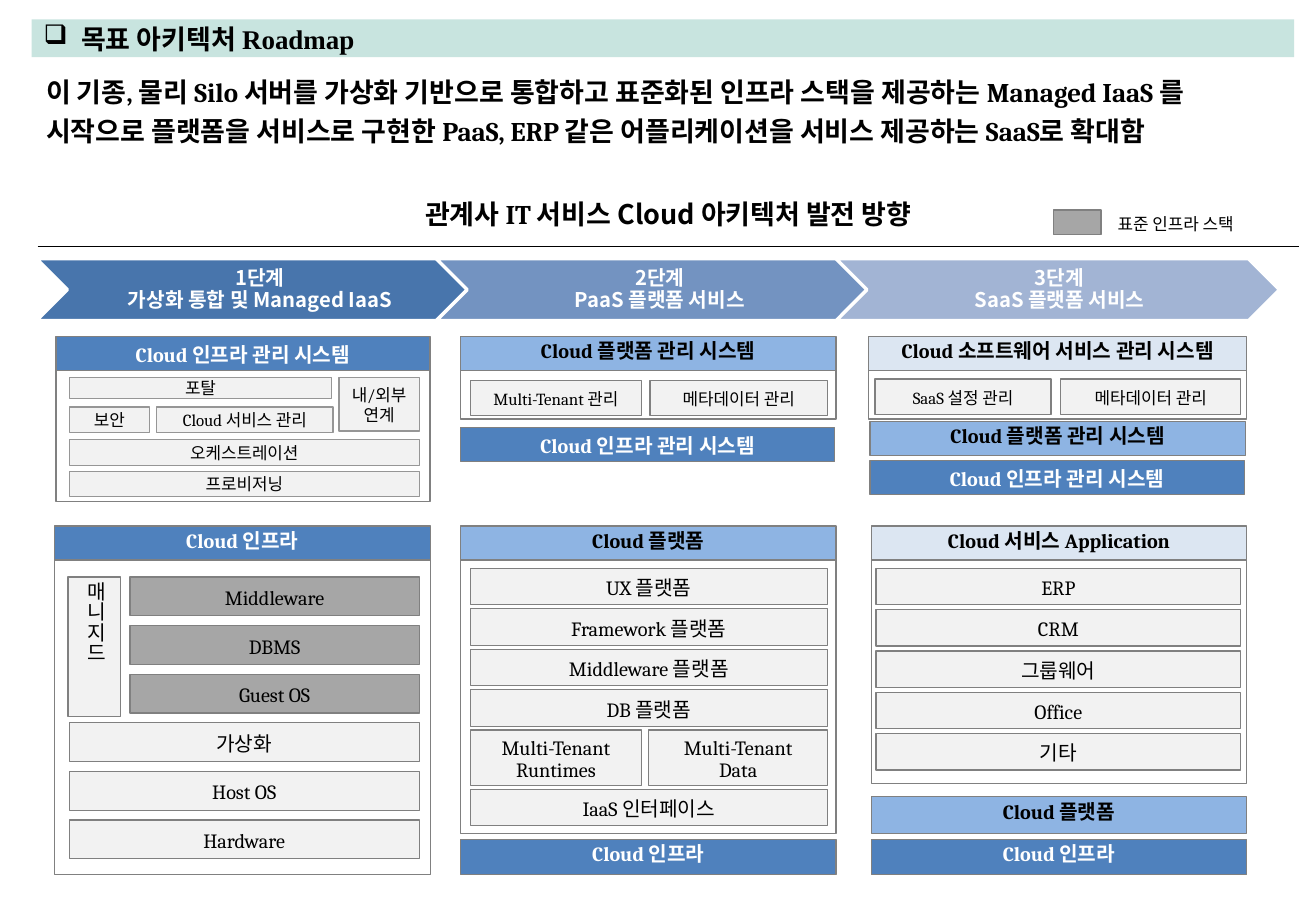
"""Builds the target cloud architecture roadmap slide."""
from lxml import etree
from pptx import Presentation
from pptx.dml.color import RGBColor
from pptx.enum.shapes import MSO_CONNECTOR, MSO_SHAPE
from pptx.enum.text import MSO_ANCHOR, MSO_AUTO_SIZE, PP_ALIGN
from pptx.oxml.ns import qn
from pptx.util import Inches, Pt

RECT, CHEVRON = MSO_SHAPE.RECTANGLE, MSO_SHAPE.CHEVRON
STRAIGHT = MSO_CONNECTOR.STRAIGHT
TOP, MIDDLE = MSO_ANCHOR.TOP, MSO_ANCHOR.MIDDLE
LEFT, CENTER = PP_ALIGN.LEFT, PP_ALIGN.CENTER
GROW = MSO_AUTO_SIZE.SHAPE_TO_FIT_TEXT
SERIF, SANS, TITLE_FONT = "Cambria", "Noto Sans CJK KR", "Times New Roman"
COLORS = {
    "white": "FFFFFF", "black": "000000", "border": "808080", "thin": "969696",
    "infra": "4F81BD", "platform": "8EB4E3", "software": "DCE6F2",
    "item": "F2F2F2", "standard": "A6A6A6", "banner": "C8E4DF",
    "stage1": "4875AC", "stage2": "7393C1", "stage3": "A2B4D4",
}
DEFAULT_INSETS = (0.1, 0.05, 0.1, 0.05)
TIGHT_INSETS = (0.09, 0.05, 0.09, 0.05)


def write(shape, text, size=12, font=SERIF, color="black", bold=False, align=CENTER,
          anchor=MIDDLE, insets=(0, 0.04, 0, 0), spacing=0.9, wrap=True):
    """Fills a shape with one paragraph; text is a string or (text, font) pairs."""
    frame = shape.text_frame
    frame.word_wrap, frame.vertical_anchor = wrap, anchor
    frame.margin_left, frame.margin_top, frame.margin_right, frame.margin_bottom = map(Inches, insets)
    paragraph = frame.paragraphs[0]
    paragraph.alignment, paragraph.line_spacing = align, spacing
    for part, typeface in [(text, font)] if isinstance(text, str) else text:
        for index, line in enumerate(part.split("\n")):
            if index:
                paragraph.add_line_break()
            run = paragraph.add_run()
            run.text = line
            run.font.size, run.font.bold, run.font.name = Pt(size), bold, typeface
            run.font.color.rgb = RGBColor.from_string(COLORS[color])
            etree.SubElement(run.font._element, qn("a:ea"), typeface=SANS)
    return frame


def block(at, fill, text="", kind=RECT, line="border", weight=0.75, **text_format):
    """Draws a filled shape, with text when given."""
    shape = slide.shapes.add_shape(kind, *map(Inches, at))
    shape.shadow.inherit = False
    shape.fill.solid()
    shape.fill.fore_color.rgb = RGBColor.from_string(COLORS[fill])
    if line:
        shape.line.color.rgb = RGBColor.from_string(COLORS[line])
        shape.line.width = Pt(weight)
    else:
        shape.line.fill.background()
    if text:
        write(shape, text, **text_format)
    return shape


prs = Presentation()
prs.slide_width, prs.slide_height = Inches(10.83), Inches(7.5)
slide = prs.slides.add_slide(prs.slide_layouts[6])

banner = block((0.26, 0.16, 10.39, 0.31), "banner", "목표 아키텍처 Roadmap", line=None, size=16,
               font=TITLE_FONT, bold=True, align=LEFT, insets=DEFAULT_INSETS, spacing=1.0)
bullet = banner.text_frame.paragraphs[0]._p.get_or_add_pPr()
bullet.set("marL", str(Inches(0.31)))
bullet.set("indent", str(Inches(-0.31)))
etree.SubElement(bullet, qn("a:buChar"), char="❑")

summary = slide.shapes.add_textbox(*map(Inches, (0.38, 0.57, 10.16, 0.62)))
write(summary, "이 기종, 물리 Silo 서버를 가상화 기반으로 통합하고 표준화된 인프라 스택을 제공하는 "
      "Managed IaaS 를 시작으로 플랫폼을 서비스로 구현한 PaaS, ERP 같은 어플리케이션을 "
      "서비스 제공하는 SaaS로 확대함", size=16, bold=True, align=LEFT, anchor=TOP,
      insets=(0, 0, 0, 0), spacing=1.2).auto_size = GROW

heading = slide.shapes.add_textbox(*map(Inches, (0.31, 1.58, 10.38, 0.39)))
write(heading, [("관계사 IT 서비스 ", SERIF), ("Cloud 아키텍처 발전 방향", SANS)],
      size=16, bold=True, insets=(0.08, 0.08, 0.08, 0.08))
block((8.67, 1.73, 0.39, 0.2), "standard")
legend = slide.shapes.add_textbox(*map(Inches, (9.1, 1.71, 1.25, 0.27)))
write(legend, "표준 인프라 스택", size=10, font=SANS, align=LEFT, anchor=TOP,
      insets=DEFAULT_INSETS, spacing=1.0, wrap=False).auto_size = GROW

rule = slide.shapes.add_connector(STRAIGHT, *map(Inches, (0.31, 2.03, 10.69, 2.03)))
rule.line.color.rgb = RGBColor.from_string(COLORS["black"])
rule.line.width = Pt(0.75)
etree.SubElement(rule._element.spPr, qn("a:effectLst"))

stages = ["가상화 통합 및 Managed IaaS", "PaaS 플랫폼 서비스", "SaaS 플랫폼 서비스"]
for index, stage in enumerate(stages):
    number = index + 1
    block((0.3 + 3.29 * index, 2.13, 3.65, 0.51), f"stage{number}", f"{number}단계\n{stage}",
          kind=CHEVRON, line="white", weight=2, font=SANS, color="white", bold=True,
          insets=(0.05, 0.02, 0.02, 0.02))

panels = [
    (0.46, 3, 3.08, 1.13), (3.79, 3.04, 3.09, 0.41), (7.15, 3.04, 3.11, 0.41),
    (0.45, 4.6, 3.09, 2.6), (3.79, 4.61, 3.09, 2.25), (7.17, 4.61, 3.09, 1.84),
]
for panel in panels:
    block(panel, "white")

layers = [
    (0.46, 2.77, 3.08, 0.28, "infra", "Cloud 인프라 관리 시스템", MIDDLE),
    (3.79, 2.77, 3.09, 0.28, "platform", "Cloud 플랫폼 관리 시스템", TOP),
    (3.79, 3.52, 3.08, 0.28, "infra", "Cloud 인프라 관리 시스템", MIDDLE),
    (7.15, 2.77, 3.11, 0.28, "software", "Cloud 소프트웨어 서비스 관리 시스템", TOP),
    (7.16, 3.47, 3.09, 0.28, "platform", "Cloud 플랫폼 관리 시스템", TOP),
    (7.16, 3.79, 3.08, 0.28, "infra", "Cloud 인프라 관리 시스템", MIDDLE),
    (0.45, 4.33, 3.09, 0.28, "infra", "Cloud 인프라", TOP),
    (3.79, 4.33, 3.09, 0.28, "platform", "Cloud 플랫폼", TOP),
    (3.79, 6.91, 3.09, 0.29, "infra", "Cloud 인프라", TOP),
    (7.17, 4.33, 3.09, 0.28, "software", "Cloud 서비스 Application", TOP),
    (7.17, 6.56, 3.09, 0.3, "platform", "Cloud 플랫폼", TOP),
    (7.17, 6.91, 3.09, 0.29, "infra", "Cloud 인프라", TOP),
]
for *at, layer, name, anchor in layers:
    block(at, layer, name, bold=True, anchor=anchor,
          color="white" if layer == "infra" else "black")

infra_functions = [
    (0.57, 3.11, 2.16, 0.17, "포탈"), (2.79, 3.11, 0.66, 0.44, "내/외부\n연계"),
    (0.57, 3.35, 0.66, 0.21, "보안"), (1.29, 3.35, 1.45, 0.21, "Cloud 서비스 관리"),
    (0.57, 3.62, 2.88, 0.21, "오케스트레이션"), (0.57, 3.88, 2.88, 0.21, "프로비저닝"),
]
for *at, name in infra_functions:
    block(at, "item", name, line="thin", size=10, insets=TIGHT_INSETS, spacing=1.0, wrap=False)

management_functions = [
    (3.87, 3.13, 1.41, 0.29, "Multi-Tenant 관리"), (5.35, 3.13, 1.46, 0.29, "메타데이터 관리"),
    (7.2, 3.12, 1.45, 0.29, "SaaS 설정 관리"), (8.73, 3.12, 1.48, 0.29, "메타데이터 관리"),
]
for *at, name in management_functions:
    block(at, "item", name, size=10)

infra_stack = ["Middleware", "DBMS", "Guest OS", "가상화", "Host OS", "Hardware"]
for index, name in enumerate(infra_stack):
    managed = index < 3
    left, width = (1.07, 2.38) if managed else (0.57, 2.88)
    block((left, 4.75 + 0.4 * index, width, 0.32), "standard" if managed else "item", name)
managed_label = block((0.56, 4.75, 0.43, 1.15), "item", "매니지드")
managed_label.text_frame._txBody.bodyPr.set("vert", "eaVert")

platforms = ["UX 플랫폼", "Framework 플랫폼", "Middleware 플랫폼", "DB 플랫폼"]
for index, name in enumerate(platforms):
    block((3.87, 4.68 + 0.333 * index, 2.94, 0.3), "item", name)
block((3.87, 6.01, 1.41, 0.46), "item", "Multi-Tenant Runtimes")
block((5.34, 6.01, 1.47, 0.46), "item", "Multi-Tenant\nData")
block((3.87, 6.5, 2.94, 0.3), "item", "IaaS 인터페이스")

applications = ["ERP", "CRM", "그룹웨어", "Office", "기타"]
for index, name in enumerate(applications):
    block((7.21, 4.68 + 0.34 * index, 3, 0.3), "item", name)

prs.save("out.pptx")
